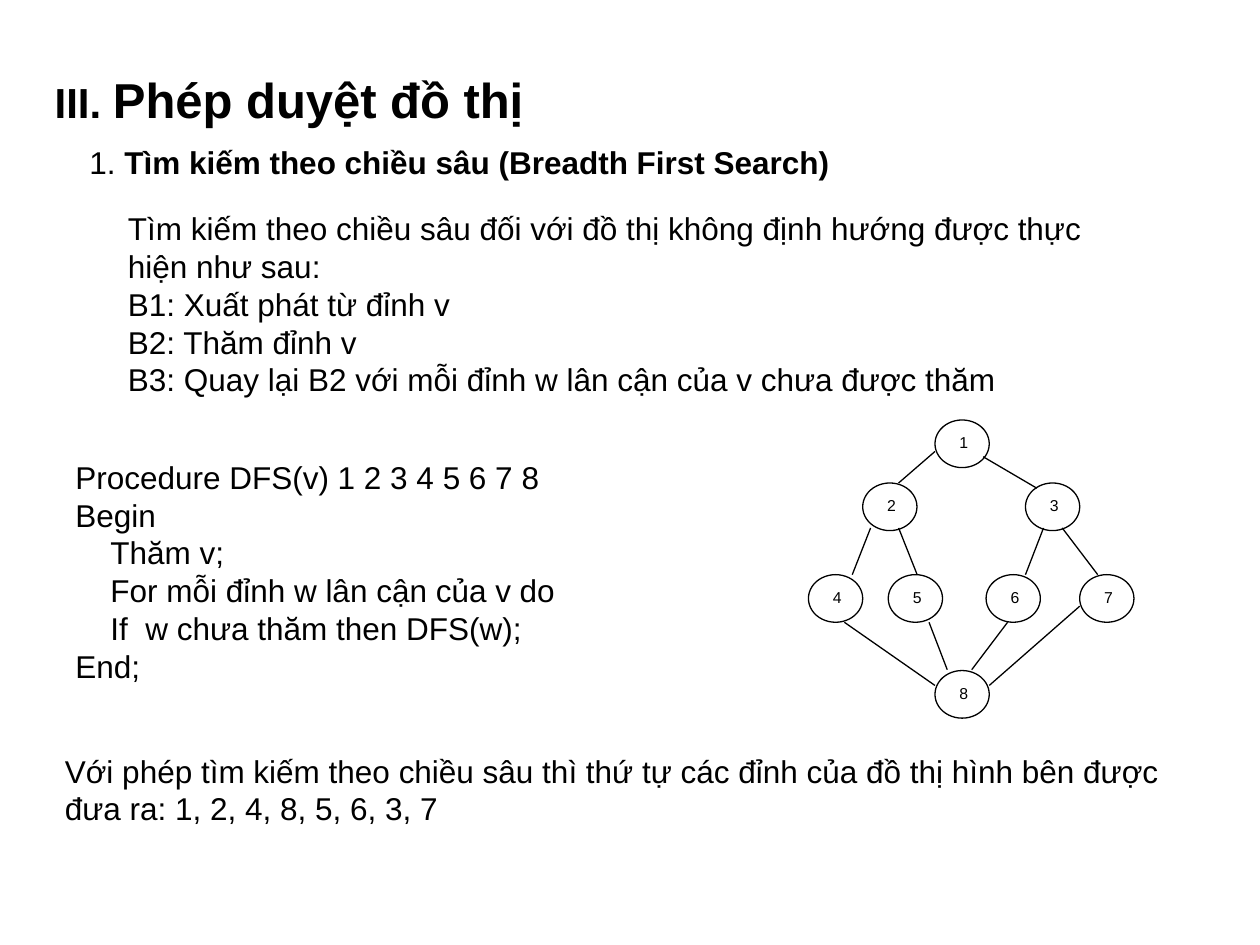
import pptx
import pptx.dml.color
import pptx.enum.shapes
import pptx.enum.text
import pptx.oxml.ns
import pptx.util
from lxml import etree

Pt = pptx.util.Pt
BLACK = pptx.dml.color.RGBColor(0, 0, 0)
WHITE = pptx.dml.color.RGBColor(255, 255, 255)
FONT = "Arial"
BODY_SIZE = 18
CODE_INDENT = 20
LINE_WIDTH = 0.75
NODE_WIDTH, NODE_HEIGHT = 31, 27.2


def write_text(para, text, size=BODY_SIZE, bold=False, indent=0):
    if indent:
        para._p.get_or_add_pPr().set("marL", str(Pt(indent)))
    span = para.add_run()
    span.text = text
    span.font.name = FONT
    span.font.size = Pt(size)
    span.font.bold = bold
    span.font.color.rgb = BLACK


def add_text_box(left, top, width, height):
    box = page.shapes.add_textbox(Pt(left), Pt(top), Pt(width), Pt(height))
    box.text_frame.word_wrap = True
    return box.text_frame


deck = pptx.Presentation()
deck.slide_width, deck.slide_height = Pt(720), Pt(540)
page = deck.slides.add_slide(deck.slide_layouts[5])

title = page.shapes.title
title.left, title.top, title.width, title.height = Pt(24), Pt(36), Pt(468), Pt(41)
title.text_frame.auto_size = pptx.enum.text.MSO_AUTO_SIZE.NONE
title.text_frame.vertical_anchor = pptx.enum.text.MSO_ANCHOR.TOP
title_para = title.text_frame.paragraphs[0]
title_para.alignment = pptx.enum.text.PP_ALIGN.LEFT
write_text(title_para, "III. ", size=24, bold=True)
write_text(title_para, "Phép duyệt đồ thị", size=28, bold=True)

subtitle_para = add_text_box(44, 78, 574, 29).paragraphs[0]
write_text(subtitle_para, "1. ")
write_text(subtitle_para, "Tìm kiếm theo chiều sâu (Breadth First Search)", bold=True)

steps = [
    ("Tìm kiếm theo chiều sâu đối với đồ thị không định hướng được thực hiện như sau:", 0),
    ("B1: Xuất phát từ đỉnh v", 0),
    ("B2: Thăm đỉnh v", 0),
    ("B3: Quay lại B2 với mỗi đỉnh w lân cận của v chưa được thăm", 0),
]
procedure = [
    ("Procedure DFS(v) 1 2 3 4 5 6 7 8", 0),
    ("Begin", 0),
    ("Thăm v;", CODE_INDENT),
    ("For mỗi đỉnh w lân cận của v do", CODE_INDENT),
    ("If  w chưa thăm then DFS(w);", CODE_INDENT),
    ("End;", 0),
]
conclusion = [
    ("Với phép tìm kiếm theo chiều sâu thì thứ tự các đỉnh của đồ thị hình bên được "
     "đưa ra: 1, 2, 4, 8, 5, 6, 3, 7", 0),
]
text_blocks = [
    ((66, 116, 594, 115), steps),
    ((36, 258, 300, 137), procedure),
    ((30, 426, 666, 50), conclusion),
]
for place, lines in text_blocks:
    frame = add_text_box(*place)
    for index, (text, indent) in enumerate(lines):
        para = frame.add_paragraph() if index else frame.paragraphs[0]
        write_text(para, text, indent=indent)

graph_rows = [
    (240, {1: 534.3}),
    (276, {2: 493, 3: 586}),
    (328.4, {4: 462, 5: 507.6, 6: 563.5, 7: 617}),
    (383.2, {8: 534.3}),
]
node_corners = {}
for top, row in graph_rows:
    for number, left in row.items():
        node_corners[number] = (left, top)
        node = page.shapes.add_shape(pptx.enum.shapes.MSO_SHAPE.OVAL,
                                     Pt(left), Pt(top), Pt(NODE_WIDTH), Pt(NODE_HEIGHT))
        node.shadow.inherit = False
        node.fill.solid()
        node.fill.fore_color.rgb = WHITE
        node.line.color.rgb = BLACK
        node.line.width = Pt(LINE_WIDTH)
        frame = node.text_frame
        frame.margin_left, frame.margin_bottom = Pt(2), Pt(1.5)
        frame.margin_right = frame.margin_top = 0
        frame.vertical_anchor = pptx.enum.text.MSO_ANCHOR.MIDDLE
        frame.paragraphs[0].alignment = pptx.enum.text.PP_ALIGN.CENTER
        write_text(frame.paragraphs[0], str(number), size=9)

# Each edge: start node, offset from its corner, end node, offset from its corner.
edges = [
    (1, (0, 18), 2, (20.5, 0)),
    (1, (27.5, 21), 3, (6.5, 3)),
    (2, (4.5, 25.7), 4, (25, 0)),
    (2, (20.5, 25.7), 5, (16.5, 0)),
    (3, (10.3, 25.7), 6, (22.5, 0)),
    (3, (21, 25.7), 7, (10.3, 0)),
    (4, (20.5, NODE_HEIGHT), 8, (0, 8.5)),
    (5, (23.3, NODE_HEIGHT), 8, (7, -0.5)),
    (6, (12.3, NODE_HEIGHT), 8, (21, -0.5)),
    (7, (0, 18), 8, (NODE_WIDTH, 8.5)),
]
for start, start_offset, end, end_offset in edges:
    start_x, start_y = map(sum, zip(node_corners[start], start_offset))
    end_x, end_y = map(sum, zip(node_corners[end], end_offset))
    edge = page.shapes.add_connector(pptx.enum.shapes.MSO_CONNECTOR.STRAIGHT,
                                     Pt(start_x), Pt(start_y), Pt(end_x), Pt(end_y))
    edge.line.color.rgb = BLACK
    edge.line.width = Pt(LINE_WIDTH)
    etree.SubElement(edge._element.spPr, pptx.oxml.ns.qn("a:effectLst"))

deck.save("out.pptx")
